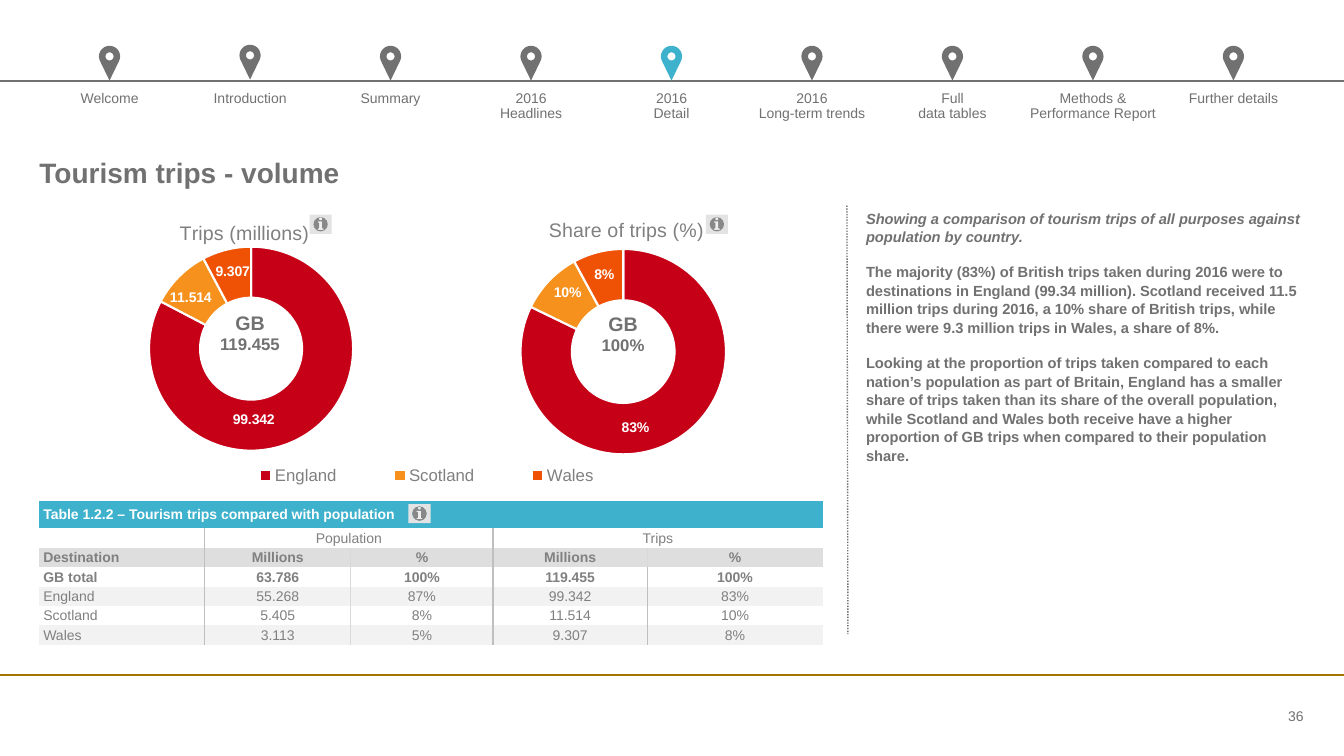
"""Build the tourism trips volume slide."""
import math
from dataclasses import dataclass

import lxml.etree
import pptx
import pptx.chart.data
import pptx.dml.color
import pptx.enum.chart
import pptx.enum.dml
import pptx.enum.shapes
import pptx.enum.text
import pptx.oxml
import pptx.oxml.ns
import pptx.util

Inches, Pt, qn = pptx.util.Inches, pptx.util.Pt, pptx.oxml.ns.qn
ALIGN, ANCHOR = pptx.enum.text.PP_ALIGN, pptx.enum.text.MSO_ANCHOR


@dataclass(frozen=True)
class Theme:
    """Colours and type sizes."""
    font: str = "Arial"
    grey: str = "717171"
    mid: str = "808080"
    teal: str = "3EB1CC"
    white: str = "FFFFFF"
    gold: str = "A47500"
    button: str = "E3E3E3"
    header: str = "DEDEDE"
    band: str = "F2F2F2"
    rule: str = "BFBFBF"
    soft_rule: str = "D9D9D9"
    slices: tuple = ("C50017", "F7911E", "EF5205")
    title: float = 20
    heading: float = 14
    label: float = 12
    body: float = 10.5
    small: float = 10


T = Theme()
TITLE = "Tourism trips - volume"
NAV = ["Welcome", "Introduction", "Summary", "2016\nHeadlines", "2016\nDetail",
       "2016\nLong-term trends", "Full\ndata tables",
       "Methods & Performance Report", "Further details"]
CURRENT, RAISED = 4, 1
COUNTRIES = ["England", "Scotland", "Wales"]
CHARTS = [
    dict(title="Trips (millions)", values=(99.342, 11.514, 9.307), fmt="0.000",
         box=(0.29, 2.01, 6.12, 2.9), plot=(0.194, 0.151, 0.331, 0.698),
         title_at=(0.238, 0.047), legend=(0.29, 0.89, 0.71, 0.09),
         shifts=((-0.06, 0.02), (-0.01, 0.01), (0, -0.01)),
         total="GB\n119.455", total_at=(2.16, 3.08)),
    dict(title="Share of trips (%)", values=(0.83, 0.1, 0.08), fmt="0%",
         box=(3.98, 2.01, 3.57, 2.71), plot=(0.331, 0.17, 0.572, 0.752),
         title_at=(0.4, 0.04), legend=None,
         shifts=((-0.08, 0.04), (0, -0.02), (0, -0.01)),
         total="GB\n100%", total_at=(5.86, 3.09)),
]
ROWS = [
    ["Table 1.2.2 – Tourism trips compared with population", "", "", "", ""],
    ["", "Population", "", "Trips", ""],
    ["Destination", "Millions", "%", "Millions", "%"],
    ["GB total", "63.786", "100%", "119.455", "100%"],
    ["England", "55.268", "87%", "99.342", "83%"],
    ["Scotland", "5.405", "8%", "11.514", "10%"],
    ["Wales", "3.113", "5%", "9.307", "8%"],
]
ROW_FILLS = [T.teal, None, T.header, None, T.band, None, T.band]
COL_WIDTHS = [1.64, 1.45, 1.41, 1.53, 1.74]
INFO_BUTTONS = [(3.07, 2.13), (7, 2.13), (4.05, 5)]
NOTES = [
    "Showing a comparison of tourism trips of all purposes against population by country.",
    "The majority (83%) of British trips taken during 2016 were to destinations in England "
    "(99.34 million). Scotland received 11.5 million trips during 2016, a 10% share of British "
    "trips, while there were 9.3 million trips in Wales, a share of 8%.",
    "Looking at the proportion of trips taken compared to each nation’s population as part of "
    "Britain, England has a smaller share of trips taken than its share of the overall "
    "population, while Scotland and Wales both receive have a higher proportion of GB trips "
    "when compared to their population share.",
]


def rgb(color):
    return pptx.dml.color.RGBColor.from_string(color)


def style(font, size, color=T.grey, bold=False):
    font.name, font.size, font.bold = T.font, Pt(size), bold
    font.color.rgb = rgb(color)


def write(tf, text, size, color=T.grey, bold=False, align=ALIGN.LEFT):
    tf.text, tf.word_wrap = text, True
    for p in tf.paragraphs:
        p.alignment = align
        for r in p.runs:
            style(r.font, size, color, bold)


def margins(target, left=0, top=0, right=0):
    target.margin_left, target.margin_top = Inches(left), Inches(top)
    target.margin_right, target.margin_bottom = Inches(right), 0


def add_text(s, box, text, size, **options):
    tf = s.shapes.add_textbox(*map(Inches, box)).text_frame
    margins(tf)
    write(tf, text, size, **options)
    return tf


def add_line(s, ends, color, width, dash=None):
    line = s.shapes.add_connector(pptx.enum.shapes.MSO_CONNECTOR.STRAIGHT, *map(Inches, ends))
    line.line.color.rgb, line.line.width = rgb(color), Pt(width)
    line.line.dash_style = dash
    lxml.etree.SubElement(line._element.spPr, qn("a:effectLst"))


def finish(sp, color):
    sp.shadow.inherit = False
    sp.fill.solid()
    sp.fill.fore_color.rgb = rgb(color)
    sp.line.fill.background()


def add_pin(s, x, y, color):
    def arc(radius, angles):
        return [(Inches(x + radius * math.cos(math.radians(a))),
                 Inches(y + radius * math.sin(math.radians(a)))) for a in angles]

    outline = arc(0.105, range(150, 391, 10)) + [(Inches(x), Inches(y + 0.24))]
    hole = arc(0.04, range(360, 0, -15))
    builder = s.shapes.build_freeform(*outline[0], scale=1.0)
    builder.add_line_segments(outline[1:], close=True)
    builder.move_to(*hole[0])
    builder.add_line_segments(hole[1:], close=True)
    finish(builder.convert_to_shape(), color)


def add_table(s, left, top, widths, heights):
    sp = s.shapes.add_table(len(heights), len(widths), Inches(left), Inches(top),
                            Inches(sum(widths)), Inches(sum(heights)))
    table = sp.table
    table.first_row = table.horz_banding = False
    table._tbl.tblPr.find(qn("a:tableStyleId")).text = "{2D5ABB26-0587-4C30-8999-92F81FD0307C}"
    for parts, name, sizes in ((table.columns, "width", widths), (table.rows, "height", heights)):
        for part, size in zip(parts, sizes):
            setattr(part, name, Inches(size))
    return table


def add_border(cell, side, color):
    ln = lxml.etree.SubElement(cell._tc.get_or_add_tcPr(), qn(f"a:ln{side}"), w=str(Pt(1)))
    fill = lxml.etree.SubElement(ln, qn("a:solidFill"))
    lxml.etree.SubElement(fill, qn("a:srgbClr"), val=color)


def add_nav(s):
    width, left = 12.54 / len(NAV), 0.39
    table = add_table(s, left, 0.9, [width] * len(NAV), [0.35])
    add_line(s, (0, 0.8, 13.33, 0.8), T.grey, 1.25)
    for i, name in enumerate(NAV):
        cell = table.cell(0, i)
        margins(cell)
        write(cell.text_frame, name, T.small, align=ALIGN.CENTER)
        add_pin(s, left + width * (i + 0.5), 0.55 if i == RAISED else 0.56,
                T.teal if i == CURRENT else T.grey)


def add_population_table(s):
    table = add_table(s, 0.39, 4.97, COL_WIDTHS, [0.27] + [0.193] * 6)
    for row, first, last in ((0, 0, 4), (1, 1, 2), (1, 3, 4)):
        table.cell(row, first).merge(table.cell(row, last))
    for r, row in enumerate(ROWS):
        edges = [(), (1, 3)][r] if r < 2 else (1, 2, 3, 4)
        for c, text in enumerate(row):
            cell = table.cell(r, c)
            margins(cell, 0.01 if c else 0.04, 0.01, 0.01)
            cell.vertical_anchor = ANCHOR.MIDDLE
            write(cell.text_frame, text, T.small, T.mid if r else T.white, r in (0, 2, 3),
                  ALIGN.CENTER if c else ALIGN.LEFT)
            if not text:
                cell.text_frame.paragraphs[0].font.size = Pt(T.small)
            for side, edge in (("L", c), ("R", c + 1)):
                if edge in edges:
                    soft = edge == 2 or (edge, r) == (4, 2)
                    add_border(cell, side, T.soft_rule if soft else T.rule)
            if ROW_FILLS[r]:
                cell.fill.solid()
                cell.fill.fore_color.rgb = rgb(ROW_FILLS[r])
            else:
                cell.fill.background()


def set_layout(parent, index, values, modes):
    for old in parent.findall(qn("c:layout")):
        parent.remove(old)
    layout = lxml.etree.Element(qn("c:layout"))
    manual = lxml.etree.SubElement(layout, qn("c:manualLayout"))
    for name, value in [*modes, *zip("xywh", values)]:
        lxml.etree.SubElement(manual, qn(f"c:{name}"), val=str(value))
    parent.insert(index, layout)


def add_doughnut(s, item):
    edge = [("xMode", "edge"), ("yMode", "edge")]
    data = pptx.chart.data.CategoryChartData(number_format=item["fmt"])
    data.categories = COUNTRIES
    data.add_series(item["title"], item["values"])
    chart = s.shapes.add_chart(pptx.enum.chart.XL_CHART_TYPE.DOUGHNUT,
                               *map(Inches, item["box"]), data).chart
    style(chart.font, T.small)
    root = chart._chartSpace.find(qn("c:chart"))
    area = lxml.etree.Element(qn("c:spPr"))
    lxml.etree.SubElement(area, qn("a:noFill"))
    lxml.etree.SubElement(lxml.etree.SubElement(area, qn("a:ln")), qn("a:noFill"))
    root.addnext(area)
    write(chart.chart_title.text_frame, item["title"], T.heading, T.mid)
    set_layout(root.find(qn("c:title")), 1, item["title_at"], edge)
    set_layout(root.find(qn("c:plotArea")), 0, item["plot"], [("layoutTarget", "inner")] + edge)
    root.find(f".//{qn('c:holeSize')}").set("val", "55")
    chart.has_legend = bool(item["legend"])
    if item["legend"]:
        chart.legend.position = pptx.enum.chart.XL_LEGEND_POSITION.BOTTOM
        chart.legend.include_in_layout = False
        style(chart.legend.font, T.label, T.mid)
        set_layout(root.find(qn("c:legend")), 1, item["legend"], edge)
    series = chart.plots[0].series[0]
    labels = series.data_labels
    labels.show_value, labels.number_format = True, item["fmt"]
    labels.number_format_is_linked = False
    style(labels.font, T.small, T.white, True)
    for i, (color, shift) in enumerate(zip(T.slices, item["shifts"])):
        point = series.points[i]
        point.format.fill.solid()
        point.format.fill.fore_color.rgb = rgb(color)
        point.format.line.color.rgb, point.format.line.width = rgb(T.white), Pt(1.5)
        style(point.data_label.font, T.small, T.white, True)
        set_layout(labels._element.findall(qn("c:dLbl"))[i], 1, shift, [])


def main():
    prs = pptx.Presentation()
    prs.slide_width, prs.slide_height = Inches(13.33), Inches(7.5)
    s = prs.slides.add_slide(prs.slide_layouts[5])
    title = s.shapes.title
    title.left, title.top, title.width, title.height = map(Inches, (0.39, 1.11, 12.52, 0.77))
    margins(title.text_frame)
    title.text_frame.vertical_anchor = ANCHOR.BOTTOM
    write(title.text_frame, TITLE, T.title, bold=True)
    add_line(s, (0, 6.7, 13.33, 6.7), T.gold, 1.5)
    add_line(s, (8.4, 2.04, 8.41, 6.29), T.grey, 1, pptx.enum.dml.MSO_LINE.ROUND_DOT)
    add_nav(s)
    add_population_table(s)
    for item in CHARTS:
        add_doughnut(s, item)
    for item in CHARTS:
        tf = add_text(s, (*item["total_at"], 0.64, 0.44), item["total"], T.label,
                      bold=True, align=ALIGN.CENTER)
        tf.paragraphs[0].runs[0].font.size = Pt(T.heading)
    for x, y in INFO_BUTTONS:
        finish(s.shapes.add_shape(pptx.enum.shapes.MSO_SHAPE.ACTION_BUTTON_INFORMATION,
                                  *map(Inches, (x, y, 0.22, 0.19))), T.button)
    tf = add_text(s, (8.59, 2.07, 4.35, 4.18), "\n".join(NOTES), T.body, bold=True)
    for i, p in enumerate(tf.paragraphs):
        p.line_spacing, p.space_before = 1.05, Pt(12 if i else 0)
        p.runs[0].font.italic = i == 0
    tf = add_text(s, (11.87, 6.99, 1.06, 0.22), "36", T.small, align=ALIGN.RIGHT)
    tf.vertical_anchor = ANCHOR.MIDDLE
    prs.save("out.pptx")


if __name__ == "__main__":
    main()
